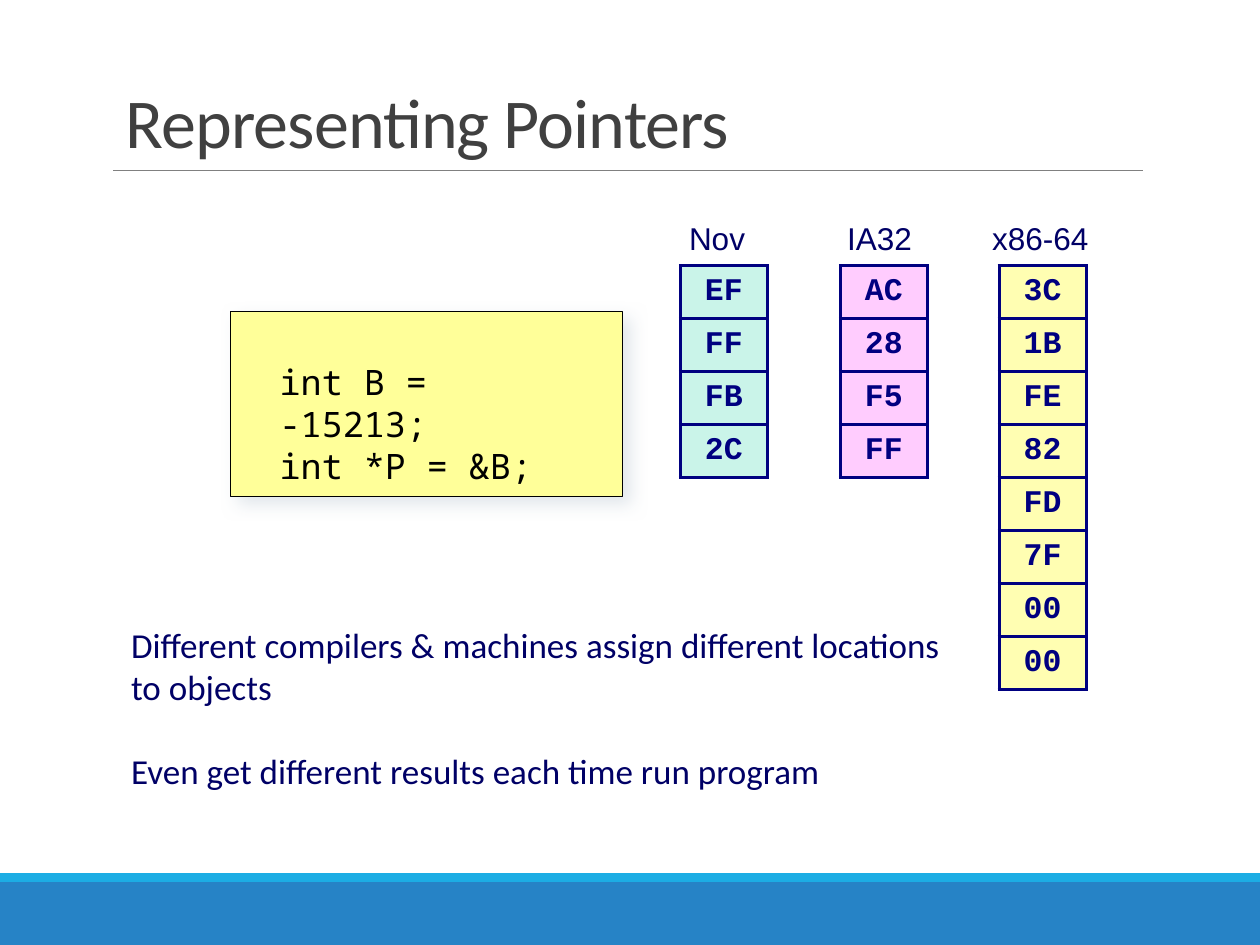
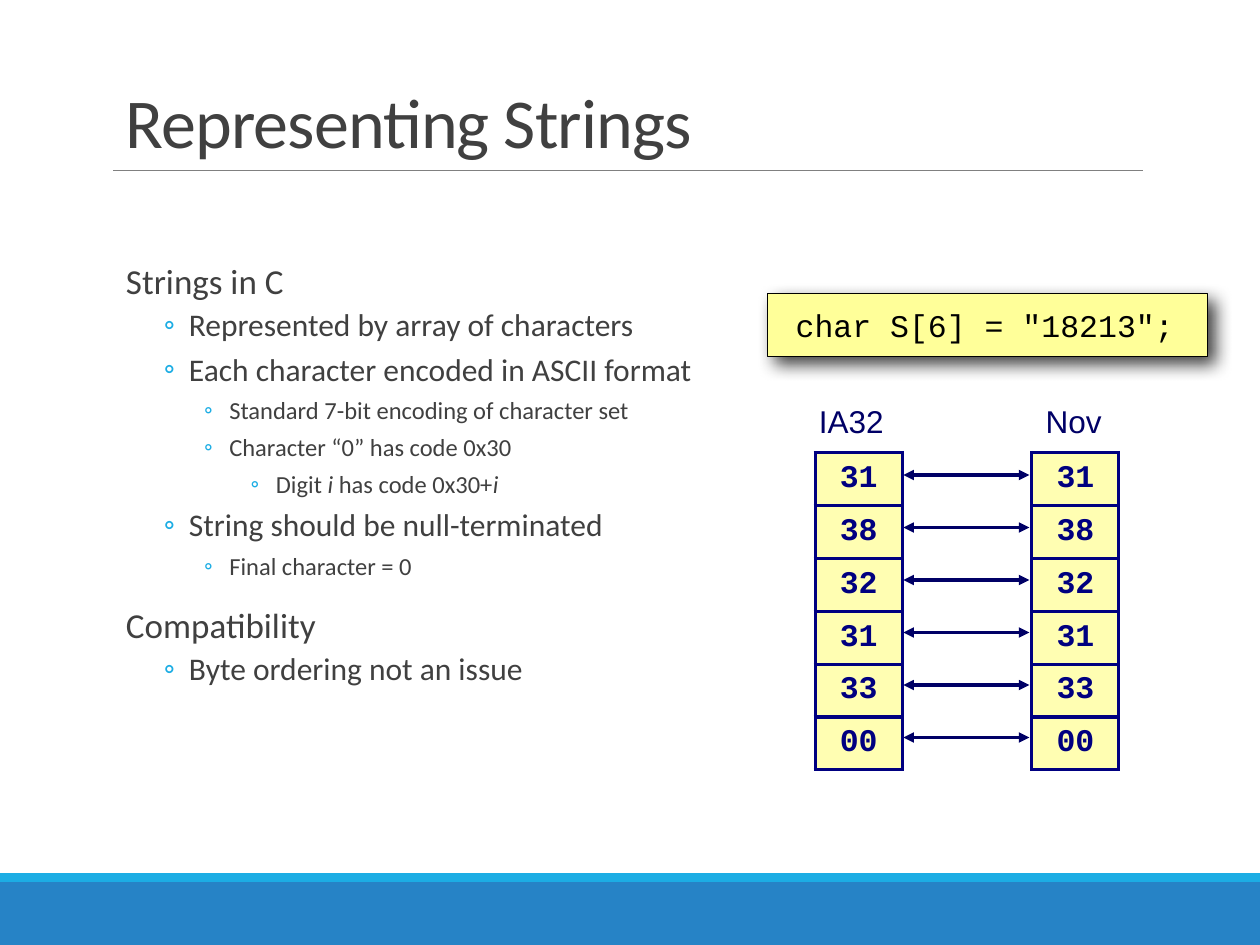
from dataclasses import dataclass

from lxml.etree import SubElement as sub
from pptx import Presentation
from pptx.dml.color import RGBColor as Rgb
from pptx.enum.shapes import MSO_CONNECTOR as Link, MSO_SHAPE as Kind
from pptx.enum.text import MSO_ANCHOR as Anchor, PP_ALIGN as Align
from pptx.oxml.ns import qn
from pptx.util import Inches, Length, Pt


@dataclass(frozen=True)
class Theme:
    """Colours, fonts and type sizes of the deck."""
    band: str = "2683C6"
    accent: str = "1CADE4"
    rule: str = "808080"
    text: str = "404040"
    navy: str = "000066"
    grid: str = "000080"
    black: str = "000000"
    code: str = "FFFF99"
    haze: str = "D9E0E6"
    mint: str = "CAF4E9"
    pink: str = "FFCCFE"
    cream: str = "FFFEB2"
    body: str = "Calibri"
    label: str = "Arial"
    mono: str = "Courier New"
    noto: str = "Noto Sans Mono"
    title: int = 40
    large: int = 20
    mid: int = 18
    small: int = 14


THEME = Theme()
ROW = Inches(1.25) // 3
CELL = Inches(0.69)
PAD = (0.06, 0.06, 0.1, 0.06)


@dataclass(frozen=True)
class Box:
    """Place and size in inches."""
    x: float
    y: float
    w: float
    h: float

    def spread(self) -> tuple[Length, ...]:
        """Give left, top, width and height as lengths."""
        return tuple(Inches(v) for v in (self.x, self.y, self.w, self.h))


@dataclass(frozen=True)
class Stack:
    """A labelled column of bytes."""
    name: str
    head: Box
    x: float
    y: float
    fill: str
    data: str


@dataclass(frozen=True)
class Level:
    """Outline level: left margin, size and spacing."""
    left: float
    size: int
    before: int = 2
    after: int = 4
    mark: str = "◦"


@dataclass(frozen=True)
class Code:
    """A shadowed code box."""
    box: Box
    lines: tuple[str, ...]
    font: str
    size: int
    shade: str
    pad: tuple[float, ...]
    anchor: Anchor
    align: Align


LEVELS = (
    Level(0.1, THEME.large, 12, 2, ""),
    Level(0.6, THEME.mid),
    Level(0.92, THEME.small),
    Level(1.29, THEME.small),
)

BYTES = "31 38 32 31 33 00"
POINTERS = (
    Stack("Nov", Box(5.39, 1.68, 0.64, 0.42), 5.4, 2.11, THEME.mint, "EF FF FB 2C"),
    Stack("IA32", Box(6.65, 1.68, 0.7, 0.42), 6.67, 2.11, THEME.pink, "AC 28 F5 FF"),
    Stack("x86-64", Box(7.8, 1.68, 0.95, 0.42), 7.93, 2.11, THEME.cream,
          "3C 1B FE 82 FD 7F 00 00"),
)
STRINGS = (
    Stack("IA32", Box(6.43, 3.13, 0.69, 0.42), 6.47, 3.59, THEME.cream, BYTES),
    Stack("Nov", Box(8.22, 3.13, 0.64, 0.42), 8.19, 3.59, THEME.cream, BYTES),
)
NOTES = (
    "Different compilers & machines assign different locations to objects",
    "Even get different results each time run program",
)
OUTLINE = (
    (0, "Strings in C"),
    (1, "Represented by array of characters"),
    (1, "Each character encoded in ASCII format"),
    (2, "Standard 7-bit encoding of character set"),
    (2, "Character “0” has code 0x30"),
    (3, "Digit *i* has code 0x30+*i*"),
    (1, "String should be null-terminated"),
    (2, "Final character = 0"),
    (0, "Compatibility"),
    (1, "Byte ordering not an issue"),
)
POINTER = Code(Box(1.83, 2.47, 3.11, 1.47), ("int B = -15213;", "int *P = &B;"),
               THEME.noto, THEME.large, THEME.haze, (0.39,) * 4,
               Anchor.TOP, Align.LEFT)
STRING = Code(Box(6.09, 2.33, 3.49, 0.5), ('char S[6] = "18213";',),
              THEME.mono, THEME.mid, THEME.black, (0.03, 0.03, 0.07, 0.03),
              Anchor.MIDDLE, Align.CENTER)


def style(item, face: str, size: int, color: str, bold: bool = False) -> None:
    """Set the font of a paragraph."""
    font = item.font
    font.name, font.size, font.bold = face, Pt(size), bold
    font.color.rgb = Rgb.from_string(color)


def frame(shape, pad: tuple[float, ...], anchor=Anchor.TOP, wrap: bool = True):
    """Set up a text frame and return it."""
    text = shape.text_frame
    text.word_wrap, text.vertical_anchor = wrap, anchor
    (text.margin_left, text.margin_top,
     text.margin_right, text.margin_bottom) = map(Inches, pad)
    return text


def lines(text, items):
    """Yield each item with a paragraph of its own."""
    for i, item in enumerate(items):
        yield item, text.add_paragraph() if i else text.paragraphs[0]


def block(slide, box: Box, fill: str):
    """Draw a plain filled rectangle."""
    shape = slide.shapes.add_shape(Kind.RECTANGLE, *box.spread())
    shape.shadow.inherit = False
    shape.fill.solid()
    shape.fill.fore_color.rgb = Rgb.from_string(fill)
    shape.line.fill.background()
    return shape


def link(slide, x: float, y: Length, end: float, color: str, width: float,
         arrows: bool = False) -> None:
    """Draw a level line, with arrowheads at both ends if asked."""
    line = slide.shapes.add_connector(Link.STRAIGHT, Inches(x), y, Inches(end), y)
    line.line.color.rgb = Rgb.from_string(color)
    line.line.width = Pt(width)
    props = line._element.spPr
    if arrows:
        for tag in ("a:headEnd", "a:tailEnd"):
            sub(props.find(qn("a:ln")), qn(tag), type="triangle")
    sub(props, qn("a:effectLst"))


def start(deck, title: str):
    """Add a slide with bands, rule and title."""
    slide = deck.slides.add_slide(deck.slide_layouts[6])
    block(slide, Box(0, 7, 10, 0.5), THEME.band)
    block(slide, Box(0, 6.93, 10, 0.07), THEME.accent)
    link(slide, 0.9, Inches(1.35), 9.07, THEME.rule, 0.5)
    shape = slide.shapes.add_textbox(*Box(0.9, 0.01, 8.25, 1.33).spread())
    para = frame(shape, (0.1, 0.05, 0.1, 0.05), Anchor.BOTTOM).paragraphs[0]
    para.line_spacing = 0.85
    run = para.add_run()
    run.text = title
    run._r.get_or_add_rPr().set("spc", "-50")
    style(para, THEME.body, THEME.title, THEME.text)
    return slide


def code(slide, item: Code) -> None:
    """Draw a code box with a soft shadow."""
    shape = block(slide, item.box, THEME.code)
    shape.line.color.rgb = Rgb.from_string(THEME.black)
    shape.line.width = Pt(0.5)
    glow = sub(shape._element.spPr.find(qn("a:effectLst")), qn("a:outerShdw"),
               blurRad=str(Pt(10)), dist=str(Pt(6)), dir="2700000",
               algn="ctr", rotWithShape="0")
    tint = sub(glow, qn("a:srgbClr"), val=item.shade)
    sub(tint, qn("a:alpha"), val="75000")
    for line, para in lines(frame(shape, item.pad, item.anchor), item.lines):
        para.text, para.alignment = line, item.align
        style(para, item.font, item.size, THEME.black)


def edge(cell) -> None:
    """Draw the four borders of a cell."""
    props = cell._tc.get_or_add_tcPr()
    for side in "LRTB":
        line = sub(props, qn(f"a:ln{side}"), w=str(Pt(2)))
        sub(sub(line, qn("a:solidFill")), qn("a:srgbClr"), val=THEME.grid)


def stack(slide, item: Stack) -> None:
    """Draw a byte column under its label."""
    shape = slide.shapes.add_textbox(*item.head.spread())
    para = frame(shape, PAD, wrap=False).paragraphs[0]
    para.text, para.alignment = item.name, Align.CENTER
    style(para, THEME.label, THEME.mid, THEME.navy)
    data = item.data.split()
    table = slide.shapes.add_table(len(data), 1, Inches(item.x), Inches(item.y),
                                   CELL, ROW * len(data)).table
    table.first_row = table.horz_banding = False
    for i, byte in enumerate(data):
        table.rows[i].height = ROW
        cell = table.cell(i, 0)
        edge(cell)
        cell.fill.solid()
        cell.fill.fore_color.rgb = Rgb.from_string(item.fill)
        cell.vertical_anchor = Anchor.MIDDLE
        cell.margin_left = cell.margin_right = Inches(0.06)
        cell.margin_top = cell.margin_bottom = Inches(0.06)
        para = cell.text_frame.paragraphs[0]
        para.text, para.alignment = byte, Align.CENTER
        style(para, THEME.mono, THEME.mid, THEME.grid, True)


def notes(slide) -> None:
    """Write the remarks below the code."""
    shape = slide.shapes.add_textbox(*Box(0.98, 4.89, 6.82, 1.84).spread())
    for i, (line, para) in enumerate(lines(frame(shape, PAD), NOTES)):
        para.text = line
        para.space_before = Pt(24 * i)
        style(para, THEME.body, THEME.large, THEME.navy)


def outline(slide) -> None:
    """Write the bulleted outline; starred parts are italic."""
    shape = slide.shapes.add_textbox(*Box(0.9, 2.05, 8.64, 4.15).spread())
    for (depth, line), para in lines(frame(shape, (0, 0.05, 0, 0.05)), OUTLINE):
        level = LEVELS[depth]
        para.level, para.line_spacing = depth, 0.9
        para.space_before, para.space_after = Pt(level.before), Pt(level.after)
        props = para._p.get_or_add_pPr()
        props.set("marL", str(Inches(level.left)))
        props.set("indent", str(Inches(-0.2 if level.mark else 0)))
        if level.mark:
            sub(sub(props, qn("a:buClr")), qn("a:srgbClr"), val=THEME.accent)
            sub(props, qn("a:buFont"), typeface=THEME.body)
            sub(props, qn("a:buChar"), char=level.mark)
        style(para, THEME.body, level.size, THEME.text)
        for i, part in enumerate(line.split("*")):
            if part:
                run = para.add_run()
                run.text = part
                if i % 2:
                    run.font.italic = True


def main() -> None:
    """Build and save the deck."""
    deck = Presentation()
    deck.slide_width, deck.slide_height = Inches(10), Inches(7.5)

    slide = start(deck, "Representing Pointers")
    notes(slide)
    code(slide, POINTER)
    for item in POINTERS:
        stack(slide, item)

    slide = start(deck, "Representing Strings")
    code(slide, STRING)
    outline(slide)
    for i in range(len(BYTES.split())):
        link(slide, 7.17, Inches(3.77) + i * ROW, 8.17, THEME.navy, 2, True)
    for item in STRINGS:
        stack(slide, item)

    deck.save("out.pptx")


if __name__ == "__main__":
    main()
